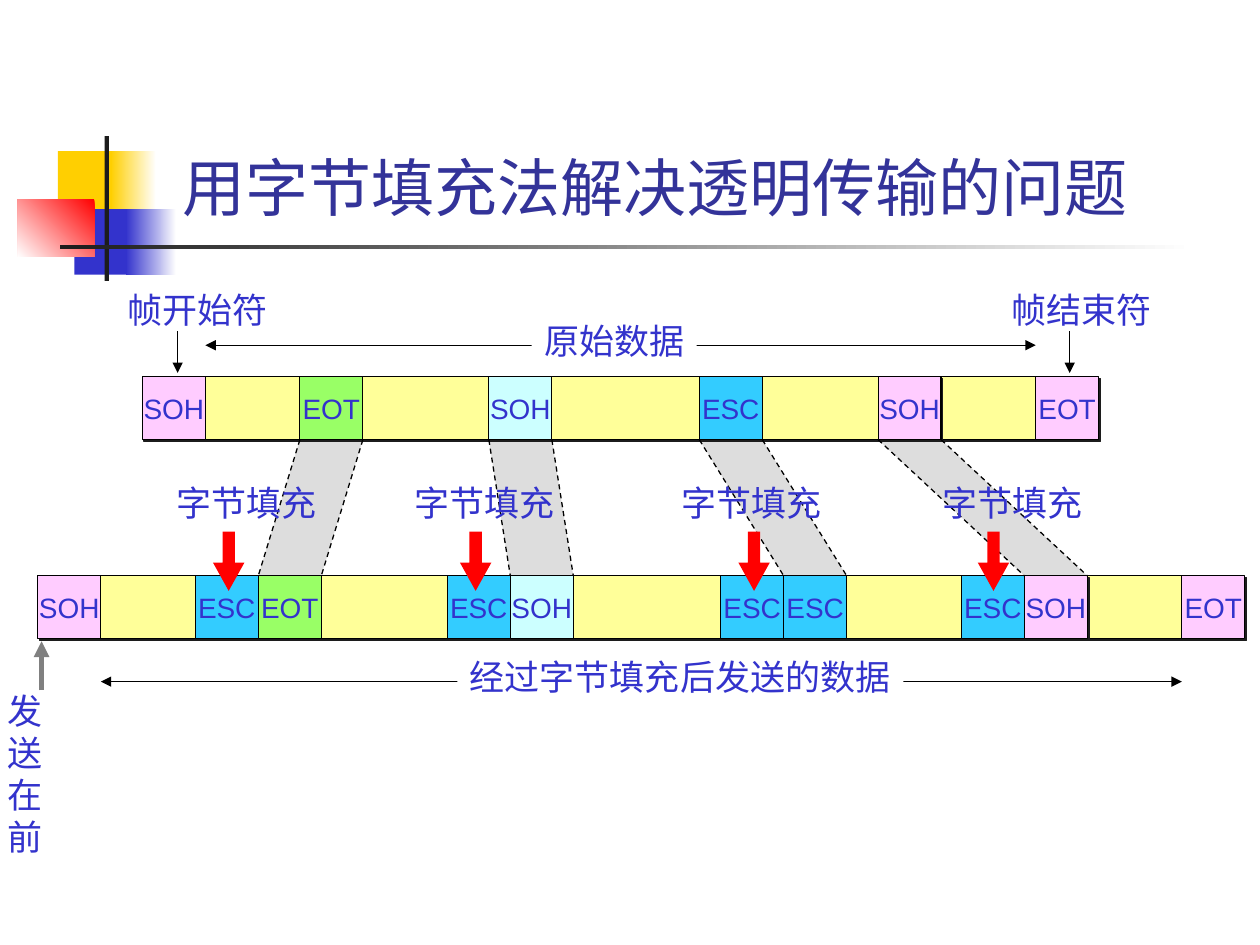
"""Build the slide on byte stuffing for transparent data transmission."""
import lxml.etree
import pptx
import pptx.dml.color
import pptx.enum.dml
import pptx.enum.shapes
import pptx.enum.text
import pptx.oxml.ns
import pptx.util

SHAPE = pptx.enum.shapes.MSO_SHAPE
ALIGN = pptx.enum.text.PP_ALIGN
ANCHOR = pptx.enum.text.MSO_ANCHOR
qn = pptx.oxml.ns.qn
THEME = {
    "font": "Arial", "title_size": 36, "label_size": 20, "byte_size": 16,
    "title": "333399", "text": "3333CC", "line": "000000", "white": "FFFFFF",
    "control": "FFCCFF", "data": "FFFF99", "escape": "33CCFF", "end": "99FF66",
    "start": "CCFFFF", "band": "DDDDDD", "stuffing": "FF0000", "sending": "808080",
    "gold": "FFCF01", "blue": "3333CC", "red": "FF0000", "dark": "1C1C1C",
}
COLOR = {part: pptx.dml.color.RGBColor.from_string(value)
         for part, value in THEME.items() if isinstance(value, str) and part != "font"}

deck = pptx.Presentation()
deck.slide_width, deck.slide_height = pptx.util.Inches(10), pptx.util.Inches(7.5)
column, row = deck.slide_width / 100, deck.slide_height / 75
slide = deck.slides.add_slide(deck.slide_layouts[6])


def block(kind, left, top, width, height, fill=None, text="", size="label_size",
          ink="text", align=ALIGN.LEFT, anchor=ANCHOR.TOP, outlined=False, shadowed=False):
    """Place a shape, or a text box when kind is None, on the grid."""
    place = [round(n) for n in (left * column, top * row, width * column, height * row)]
    if kind is None:
        part = slide.shapes.add_textbox(*place)
    else:
        part = slide.shapes.add_shape(kind, *place)
        part.shadow.inherit = False
    if isinstance(fill, tuple):
        part.fill.gradient()
        part.fill.gradient_angle = fill[2]
        for stop, shade in zip(part.fill.gradient_stops, fill):
            stop.color.rgb = COLOR[shade]
    elif fill:
        part.fill.solid()
        part.fill.fore_color.rgb = COLOR[fill]
    if outlined:
        part.line.color.rgb, part.line.width = COLOR["line"], pptx.util.Pt(0.75)
    else:
        part.line.fill.background()
    if shadowed:
        shadow = lxml.etree.SubElement(part._element.spPr.find(qn("a:effectLst")),
                                       qn("a:outerShdw"), dist="17780", dir="2700000")
        lxml.etree.SubElement(shadow, qn("a:srgbClr"), val=THEME["dark"])
    if text:
        frame = part.text_frame
        frame.text = text
        for name, value in {"word_wrap": False, "vertical_anchor": anchor}.items():
            setattr(frame, name, value)
        for paragraph in frame.paragraphs:
            paragraph.alignment = align
            paragraph.font.color.rgb = COLOR[ink]
            for name, value in {"name": THEME["font"],
                                "size": pptx.util.Pt(THEME[size])}.items():
                setattr(paragraph.font, name, value)
    return part


def stroke(x1, y1, x2, y2, ink="line", weight=0.75, dashed=False, ends=()):
    """Draw a straight line on the grid, with arrowheads at the given ends."""
    ends_at = [round(n) for n in (x1 * column, y1 * row, x2 * column, y2 * row)]
    link = slide.shapes.add_connector(pptx.enum.shapes.MSO_CONNECTOR.STRAIGHT, *ends_at)
    link.line.color.rgb, link.line.width = COLOR[ink], pptx.util.Pt(weight)
    if dashed:
        link.line.dash_style = pptx.enum.dml.MSO_LINE.DASH
    for end in ends:
        lxml.etree.SubElement(link.line._get_or_add_ln(), qn(f"a:{end}"), type="triangle")
    lxml.etree.SubElement(link._element.spPr, qn("a:effectLst"))


for left, top, width, height, fill in (
    (4.6, 12, 4.8, 5.2, "gold"),
    (8.8, 12, 3.6, 5.2, ("white", "gold", 180)),
    (5.9, 16.6, 4.6, 5.2, "blue"),
    (10, 16.6, 4, 5.2, ("white", "blue", 180)),
    (1.4, 15.8, 6.1, 4.6, ("red", "white", 225)),
    (8.3, 10.8, 0.35, 11.5, "dark"),
    (4.8, 19.45, 90, 0.35, ("white", "dark", 180)),
):
    block(SHAPE.RECTANGLE, left, top, width, height, fill)

block(None, 12.6, 2.3, 79.9, 16, text="用字节填充法解决透明传输的问题 ", size="title_size",
      ink="title", align=ALIGN.CENTER, anchor=ANCHOR.BOTTOM)

BYTE = 5
SOURCE_TOP, SENT_TOP = 29.9, 45.7
SOURCE_BOTTOM = SOURCE_TOP + BYTE
stuffed_bytes = (
    # byte, colour, column before, column after, label column, arrow column
    ("EOT", "end", 23.8, 20.5, 13, 16.9),
    ("SOH", "start", 38.8, 40.5, 31.9, 36.5),
    ("ESC", "escape", 55.5, 62.2, 53.1, 58.6),
    ("SOH", "control", 69.7, 81.3, 73.8, 77.6),
)

for _, _, before, after, _, _ in stuffed_bytes:
    corners = [(round(x * column), round(y * row)) for x, y in (
        (before, SOURCE_BOTTOM), (before + BYTE, SOURCE_BOTTOM),
        (after + BYTE, SENT_TOP), (after, SENT_TOP))]
    outline = slide.shapes.build_freeform(*corners[0])
    outline.add_line_segments(corners[1:])
    band = outline.convert_to_shape()
    band.shadow.inherit = False
    band.fill.solid()
    band.fill.fore_color.rgb = COLOR["band"]
    band.line.fill.background()

cells = []
for top, start, end in ((SOURCE_TOP, 11.3, 82.2), (SENT_TOP, 3, 93.8)):
    cells += [("SOH", "control", start, top, BYTE),
              ("", "data", start + BYTE, top, end - start - BYTE),
              ("EOT", "control", end, top, BYTE)]
for byte, fill, before, after, _, _ in stuffed_bytes:
    cells += [(byte, fill, before, SOURCE_TOP, BYTE),
              ("ESC", "escape", after - BYTE, SENT_TOP, BYTE),
              (byte, fill, after, SENT_TOP, BYTE)]
for byte, fill, left, top, width in cells:
    block(SHAPE.RECTANGLE, left, top, width, BYTE, fill, byte, "byte_size",
          align=ALIGN.CENTER, anchor=ANCHOR.MIDDLE, outlined=True,
          shadowed=fill in ("control", "data"))

for _, _, before, after, _, _ in stuffed_bytes:
    for side in (0, BYTE):
        stroke(before + side, SOURCE_BOTTOM, after + side, SENT_TOP, dashed=True)

for start, end, level in ((16.3, 82.2, 27.4), (8, 93.8, 54.1)):
    stroke(start, level, end, level, ends=("headEnd", "tailEnd"))
for pointer in (14.1, 84.9):
    stroke(pointer, 26.3, pointer, 29.6, ends=("tailEnd",))
stroke(3.3, 54.8, 3.3, 50.9, ink="sending", weight=3, ends=("tailEnd",))

for text, left, top, width, height, fill in (
    ("原始数据", 42.2, 24.9, 13.1, 4.4, "white"),
    ("经过字节填充后发送的数据", 36.3, 51.5, 35.4, 4.4, "white"),
    ("帧开始符", 9.1, 22.4, 13.1, 4.4, None),
    ("帧结束符", 79.3, 22.4, 13.1, 4.4, None),
    ("发送\n在前", -0.4, 54.2, 7.5, 7.7, None),
):
    block(None, left, top, width, height, fill, text)

for _, _, _, _, label, arrow in stuffed_bytes:
    block(None, label, 37.7, 13.1, 4.4, text="字节填充")
    insertion = block(SHAPE.DOWN_ARROW, arrow, 42.2, 2.5, 4.7, "stuffing")
    insertion.adjustments[0], insertion.adjustments[1] = 0.39, 0.9

deck.save("out.pptx")
